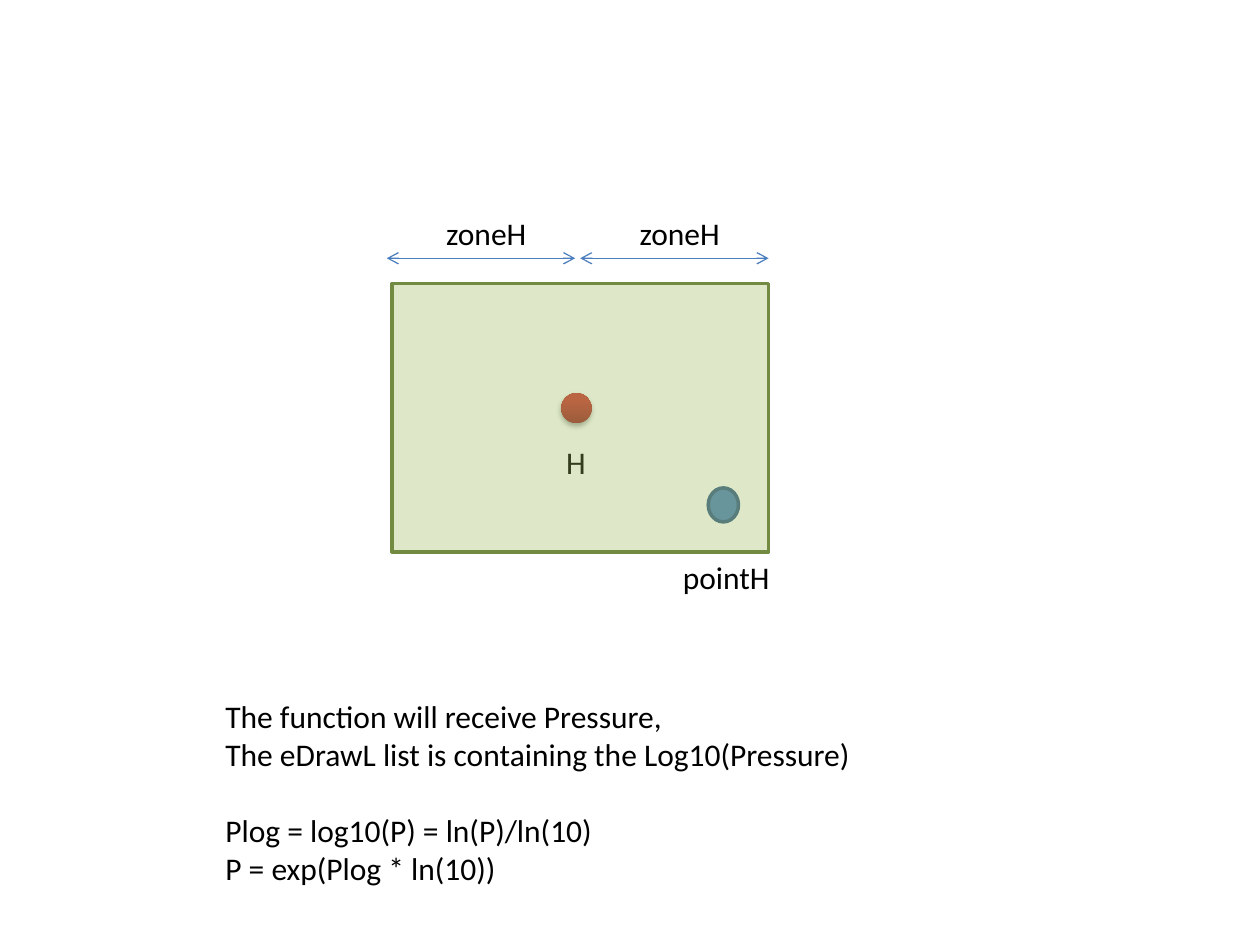
import pptx
import pptx.dml.color
import pptx.enum.shapes
import pptx.enum.text
import pptx.oxml
import pptx.oxml.ns
import pptx.util

Inches = pptx.util.Inches
Pt = pptx.util.Pt
SHAPES = pptx.enum.shapes.MSO_SHAPE
WIDTH, HEIGHT = 10, 7.5
LABEL_HEIGHT = 0.4
COLOURS = {
    "text": "000000", "dot_low": "9C2F2D", "dot_high": "CC3D39",
    "point": "4F81BD", "point_edge": "3A5F8C",
    "zone": "9BBB59", "zone_edge": "738A42", "arrow": "4B7EBC",
}
NAMESPACE = pptx.oxml.ns.nsdecls("a")


def colour(name):
    return pptx.dml.color.RGBColor.from_string(COLOURS[name])


def find(shape, tag):
    return shape._element.spPr.find(".//" + pptx.oxml.ns.qn(tag))


def add_outline(page, kind, box, fill=None, edge=None):
    """Preset shape with a plain fill and a 2 pt edge, where they are named."""
    shape = page.shapes.add_shape(kind, *map(Inches, box))
    shape.shadow.inherit = False
    if fill:
        shape.fill.solid()
        shape.fill.fore_color.rgb = colour(fill)
    if edge:
        shape.line.color.rgb = colour(edge)
        shape.line.width = Pt(2)
    else:
        shape.line.fill.background()
    return shape


def add_text(page, box, lines, wrap=False):
    """Text box; each line is its wording and the space before it in points."""
    frame = page.shapes.add_textbox(*map(Inches, box)).text_frame
    frame.word_wrap = wrap
    frame.auto_size = pptx.enum.text.MSO_AUTO_SIZE.SHAPE_TO_FIT_TEXT
    for index, (wording, space) in enumerate(lines):
        para = frame.add_paragraph() if index else frame.paragraphs[0]
        para.space_before = Pt(space)
        span = para.add_run()
        span.text = wording
        for key, value in {"name": "Calibri", "size": Pt(18)}.items():
            setattr(span.font, key, value)
        span.font.color.rgb = colour("text")


def add_label(page, centre, top, width, wording):
    add_text(page, (centre - width / 2, top, width, LABEL_HEIGHT), [(wording, 0)])


def add_span_arrow(page, start, end, level):
    """Thin line with an open arrowhead at both ends."""
    arrow = page.shapes.add_connector(
        pptx.enum.shapes.MSO_CONNECTOR.STRAIGHT,
        *map(Inches, (start, level, end, level)))
    arrow.line.color.rgb = colour("arrow")
    arrow.line.width = Pt(0.75)
    for end_tag in ("headEnd", "tailEnd"):
        find(arrow, "a:ln").append(
            pptx.oxml.parse_xml(f'<a:{end_tag} {NAMESPACE} type="arrow"/>'))
    arrow._element.spPr.append(pptx.oxml.parse_xml(f"<a:effectLst {NAMESPACE}/>"))


def add_centre_dot(page, x, y, size):
    """Shaded dot with a soft shadow below."""
    dot = add_outline(page, SHAPES.OVAL, (x - size / 2, y - size / 2, size, size))
    dot.fill.gradient()
    dot.fill.gradient_angle = 90
    stops = zip(dot.fill.gradient_stops, (0, 0.8), ("dot_low", "dot_high"))
    for stop, position, name in stops:
        stop.position = position
        stop.color.rgb = colour(name)
    find(dot, "a:effectLst").append(pptx.oxml.parse_xml(
        f'<a:outerShdw {NAMESPACE} blurRad="{Pt(3.1)}" dist="{Pt(1.8)}" '
        'dir="5400000" rotWithShape="0"><a:srgbClr val="000000">'
        '<a:alpha val="35000"/></a:srgbClr></a:outerShdw>'))


def draw_zone(page, box):
    left, top, width, height = box
    centre_x, centre_y = left + 0.49 * width, top + 0.465 * height
    point_x, point_y = left + 0.88 * width, top + 0.825 * height

    # Centre and sample point, behind the tinted zone
    add_centre_dot(page, centre_x, centre_y, 0.24)
    add_label(page, centre_x, centre_y + 0.23, 0.36, "H")
    add_outline(page, SHAPES.OVAL, (point_x - 0.12, point_y - 0.135, 0.24, 0.27),
                "point", "point_edge")
    add_label(page, left + 0.89 * width, top + height, 0.9, "pointH")

    # Translucent zone
    zone = add_outline(page, SHAPES.RECTANGLE, box, "zone", "zone_edge")
    find(zone, "a:solidFill").find(pptx.oxml.ns.qn("a:srgbClr")).append(
        pptx.oxml.parse_xml(f'<a:alpha {NAMESPACE} val="33000"/>'))

    # Half-width measures above the zone
    level, reach, gap = top - 0.2, width / 2, 0.04
    for end in (left + width, left + width - reach - gap):
        add_label(page, end - reach / 2 + 0.05, level - LABEL_HEIGHT, 0.85, "zoneH")
        add_span_arrow(page, end - reach, end, level)


def draw_notes(page, box):
    add_text(page, box, [
        ("The function will receive Pressure,", 0),
        ("The eDrawL list is containing the Log10(Pressure)", 0),
        ("Plog = log10(P) = ln(P)/ln(10)", 22),
        ("P = exp(Plog * ln(10))", 0),
    ], wrap=True)


def main():
    deck = pptx.Presentation()
    deck.slide_width, deck.slide_height = Inches(WIDTH), Inches(HEIGHT)
    page = deck.slides.add_slide(deck.slide_layouts[6])
    draw_zone(page, (0.311 * WIDTH, 0.3 * HEIGHT, 0.299 * WIDTH, 0.284 * HEIGHT))
    draw_notes(page, (0.169 * WIDTH, 0.731 * HEIGHT, 0.591 * WIDTH, 0.216 * HEIGHT))
    deck.save("out.pptx")


if __name__ == "__main__":
    main()
